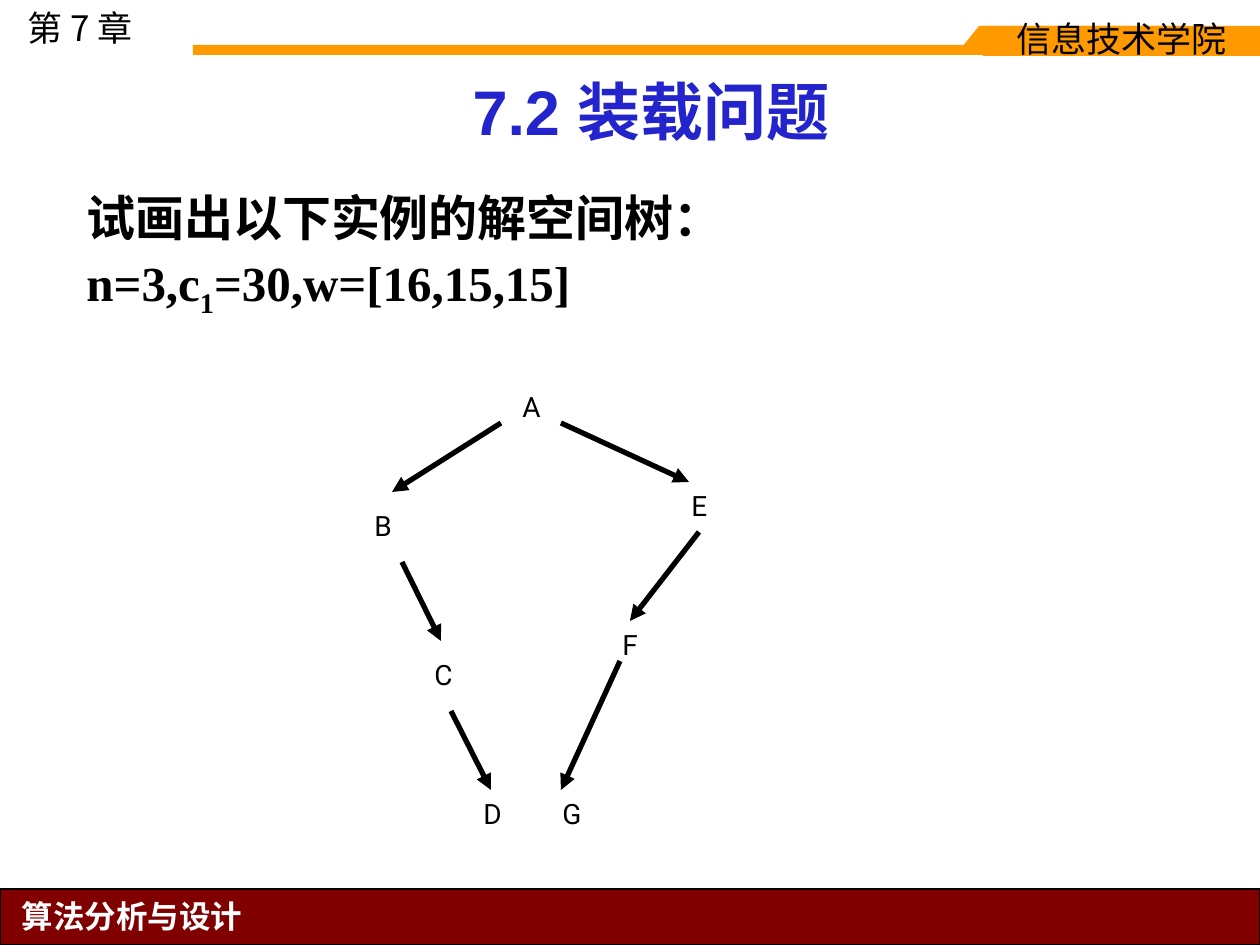
from lxml.etree import SubElement
from pptx import Presentation
from pptx.dml.color import RGBColor
from pptx.enum.shapes import MSO_CONNECTOR, MSO_SHAPE
from pptx.enum.text import MSO_ANCHOR, PP_ALIGN
from pptx.oxml.ns import qn
from pptx.util import Pt

PIXEL = 914400 // 126
CJK = "Noto Sans CJK SC"
ORANGE, MAROON, BLUE, BLACK, WHITE = "FF9900", "800000", "2324CB", "000000", "FFFFFF"


def px(*lengths):
    """Turn pixel lengths into EMU."""
    return [round(length * PIXEL) for length in lengths]


def color(hex_value):
    """Return the colour for a hex string."""
    return RGBColor.from_string(hex_value)


def style_run(run, size, font=CJK, ink=BLACK, bold=False, baseline=0):
    """Format one run for Latin and Chinese characters."""
    for name, value in {"size": Pt(size), "name": font, "bold": bold}.items():
        setattr(run.font, name, value)
    run.font.color.rgb = color(ink)
    properties = run.font._element
    SubElement(properties, qn("a:ea")).set("typeface", CJK)
    if baseline:
        properties.set("baseline", str(baseline * 1000))


def write(frame, paragraphs, anchor=MSO_ANCHOR.TOP, **layout):
    """Fill a text frame with paragraphs made of (text, format) runs."""
    frame.word_wrap = True
    frame.vertical_anchor = anchor
    for index, runs in enumerate(paragraphs):
        paragraph = frame.paragraphs[0] if index == 0 else frame.add_paragraph()
        for name, value in layout.items():
            setattr(paragraph, name, value)
        for text, style in runs:
            run = paragraph.add_run()
            run.text = text
            style_run(run, **style)


def add_text(slide, box, paragraphs, **layout):
    """Add a text box."""
    write(slide.shapes.add_textbox(*px(*box)).text_frame, paragraphs, **layout)


def paint(shape, fill, outline=None):
    """Give a shape a flat fill and an optional outline."""
    shape.shadow.inherit = False
    shape.fill.solid()
    shape.fill.fore_color.rgb = color(fill)
    if outline:
        shape.line.color.rgb = color(outline)
        shape.line.width = Pt(0.75)
    else:
        shape.line.fill.background()


def add_bar(slide, box, fill, outline=None):
    """Add a rectangle and return it."""
    bar = slide.shapes.add_shape(MSO_SHAPE.RECTANGLE, *px(*box))
    paint(bar, fill, outline)
    return bar


def add_arrow(slide, start, end):
    """Add a tree edge with an arrowhead at its end."""
    edge = slide.shapes.add_connector(MSO_CONNECTOR.STRAIGHT, *px(*start, *end))
    edge.line.color.rgb = color(BLACK)
    edge.line.width = Pt(3)
    SubElement(edge.line._ln, qn("a:tailEnd")).set("type", "triangle")
    SubElement(edge._element.spPr, qn("a:effectLst"))


def add_header(slide):
    """Add the chapter label and the orange band with the school name."""
    add_text(slide, (15, 0, 169, 54), [[("第 7 章", {"size": 20})]])
    add_bar(slide, (193, 45, 973, 10), ORANGE)
    add_bar(slide, (979, 26, 186, 20), ORANGE)
    builder = slide.shapes.build_freeform(*px(963, 46), scale=1.0)
    builder.add_line_segments([px(979, 46), px(979, 26)], close=True)
    paint(builder.convert_to_shape(), ORANGE)
    school = add_bar(slide, (983, 26, 277, 30), ORANGE)
    write(school.text_frame, [[("信息技术学院", {"size": 20, "font": "DejaVu Sans"})]],
          anchor=MSO_ANCHOR.MIDDLE, alignment=PP_ALIGN.CENTER, line_spacing=0.9)


def add_footer(slide):
    """Add the maroon band with the course name."""
    add_bar(slide, (0, 889, 1260, 56), MAROON, BLACK)
    add_text(slide, (8, 891, 248, 50),
             [[("算法分析与设计", {"size": 18, "ink": WHITE, "bold": True})]],
             alignment=PP_ALIGN.CENTER)


def add_problem(slide):
    """Add the title and the instance to solve."""
    add_text(slide, (105, 66, 1092, 89),
             [[("7.2 装载问题", {"size": 36, "font": "Arial", "ink": BLUE, "bold": True})]],
             anchor=MSO_ANCHOR.BOTTOM, alignment=PP_ALIGN.CENTER, line_spacing=0.9)
    heading = {"size": 28, "bold": True}
    formula = {**heading, "font": "Times New Roman"}
    add_text(slide, (74, 175, 1131, 694), [
        [("试画出以下实例的解空间树：", heading)],
        [("n=3,c", formula), ("1", {**formula, "baseline": -25}),
         ("=30,w=[16,15,15]", formula), (" ", {**heading, "size": 24})],
    ], line_spacing=1.1)


def add_tree(slide):
    """Add the solution space tree."""
    edges = [
        ((501, 423), (392, 492)), ((561, 423), (689, 482)),
        ((402, 562), (441, 641)), ((451, 711), (491, 790)),
        ((699, 532), (630, 621)), ((620, 661), (561, 790)),
    ]
    nodes = {
        "A": (510, 383, 30), "B": (362, 502, 39), "C": (422, 651, 30),
        "D": (471, 790, 39), "E": (679, 482, 59), "F": (610, 621, 40),
        "G": (550, 790, 30),
    }
    for start, end in edges:
        add_arrow(slide, start, end)
    for letter, box in nodes.items():
        add_text(slide, (*box, 50), [[(letter, {"size": 16, "font": "Roboto"})]])


def main():
    """Build and save the slide."""
    deck = Presentation()
    deck.slide_width, deck.slide_height = px(1260, 945)
    slide = deck.slides.add_slide(deck.slide_layouts[6])
    for add_part in (add_header, add_footer, add_problem, add_tree):
        add_part(slide)
    deck.save("out.pptx")


main()
